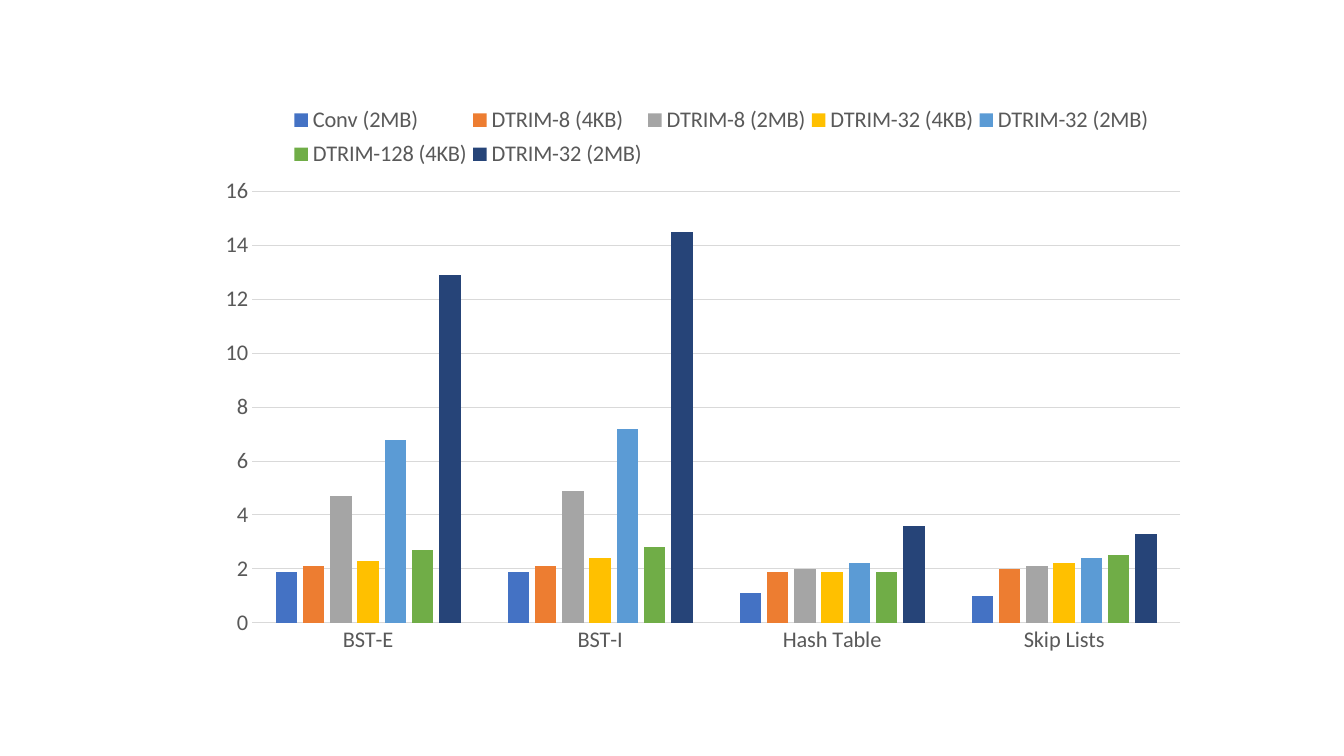
from dataclasses import dataclass

from lxml import etree
from pptx import Presentation
from pptx.chart.axis import _BaseAxis
from pptx.chart.data import CategoryChartData
from pptx.dml.color import RGBColor
from pptx.enum import chart as chart_enum
from pptx.oxml import ns
from pptx.util import Inches, Pt

FONT = "Calibri"
FONT_SIZE = Pt(16)
COLORS = {
    "text": "595959",
    "grid": "D9D9D9",
    "blue": "4472C4",
    "orange": "ED7D31",
    "gray": "A5A5A5",
    "gold": "FFC000",
    "sky": "5B9BD5",
    "green": "70AD47",
    "navy": "264478",
}


@dataclass(frozen=True)
class Series:
    name: str
    color: str
    values: tuple[float, ...]


@dataclass(frozen=True)
class Layout:
    """Position and size as fractions of the chart area."""
    x: float
    y: float
    w: float
    h: float


CATEGORIES = ("BST-E", "BST-I", "Hash Table", "Skip Lists")
SERIES = (
    Series("Conv (2MB)", "blue", (1.9, 1.9, 1.1, 1)),
    Series("DTRIM-8 (4KB)", "orange", (2.1, 2.1, 1.9, 2)),
    Series("DTRIM-8 (2MB)", "gray", (4.7, 4.9, 2, 2.1)),
    Series("DTRIM-32 (4KB)", "gold", (2.3, 2.4, 1.9, 2.2)),
    Series("DTRIM-32 (2MB)", "sky", (6.8, 7.2, 2.2, 2.4)),
    Series("DTRIM-128 (4KB)", "green", (2.7, 2.8, 1.9, 2.5)),
    Series("DTRIM-32 (2MB)", "navy", (12.9, 14.5, 3.6, 3.3)),
)
PLOT_LAYOUT = Layout(0.085, 0.169, 0.9, 0.744)
LEGEND_LAYOUT = Layout(0.12, 0.01, 0.84, 0.13)


def rgb(name: str) -> RGBColor:
    return RGBColor.from_string(COLORS[name])


def style_font(font) -> None:
    font.name = FONT
    font.size = FONT_SIZE
    font.bold = False
    font.color.rgb = rgb("text")


def style_line(line) -> None:
    line.color.rgb = rgb("grid")
    line.width = Pt(0.75)


def set_layout(parent, index: int, layout: Layout, inner: bool = False) -> None:
    """Place a chart part by hand, putting its layout at the given child index."""
    for existing in parent.findall(ns.qn("c:layout")):
        parent.remove(existing)
    element = etree.Element(ns.qn("c:layout"))
    parent.insert(index, element)
    manual = etree.SubElement(element, ns.qn("c:manualLayout"))
    settings = {"layoutTarget": "inner"} if inner else {}
    settings |= {"xMode": "edge", "yMode": "edge"}
    settings |= {key: str(getattr(layout, key)) for key in "xywh"}
    for tag, value in settings.items():
        etree.SubElement(manual, ns.qn(f"c:{tag}")).set("val", value)


def style_axis(axis: _BaseAxis) -> None:
    axis.major_tick_mark = chart_enum.XL_TICK_MARK.NONE
    axis.minor_tick_mark = chart_enum.XL_TICK_MARK.NONE
    style_font(axis.tick_labels.font)


def add_speedup_chart(slide) -> None:
    data = CategoryChartData()
    data.categories = CATEGORIES
    for series in SERIES:
        data.add_series(series.name, series.values)
    chart = slide.shapes.add_chart(
        chart_enum.XL_CHART_TYPE.COLUMN_CLUSTERED,
        Inches(1.63), Inches(0.93), Inches(10.23), Inches(5.75), data,
    ).chart
    chart.has_title = False
    style_font(chart.font)

    plot = chart.plots[0]
    plot.gap_width = 219
    plot.overlap = -27
    plot.vary_by_categories = False
    for drawn, series in zip(plot.series, SERIES):
        drawn.format.fill.solid()
        drawn.format.fill.fore_color.rgb = rgb(series.color)

    style_axis(chart.category_axis)
    style_line(chart.category_axis.format.line)
    value_axis = chart.value_axis
    style_axis(value_axis)
    value_axis.minimum_scale = 0
    value_axis.maximum_scale = 16
    value_axis.major_unit = 2
    value_axis.format.line.fill.background()
    style_line(value_axis.major_gridlines.format.line)

    chart.has_legend = True
    legend = chart.legend
    legend.position = chart_enum.XL_LEGEND_POSITION.TOP
    legend.include_in_layout = False
    style_font(legend.font)
    set_layout(legend._element, 1, LEGEND_LAYOUT)
    set_layout(chart._chartSpace.chart.plotArea, 0, PLOT_LAYOUT, inner=True)


def main() -> None:
    presentation = Presentation()
    presentation.slide_width = Inches(13.33)
    presentation.slide_height = Inches(7.5)
    slide = presentation.slides.add_slide(presentation.slide_layouts[6])
    add_speedup_chart(slide)
    presentation.save("out.pptx")


if __name__ == "__main__":
    main()
